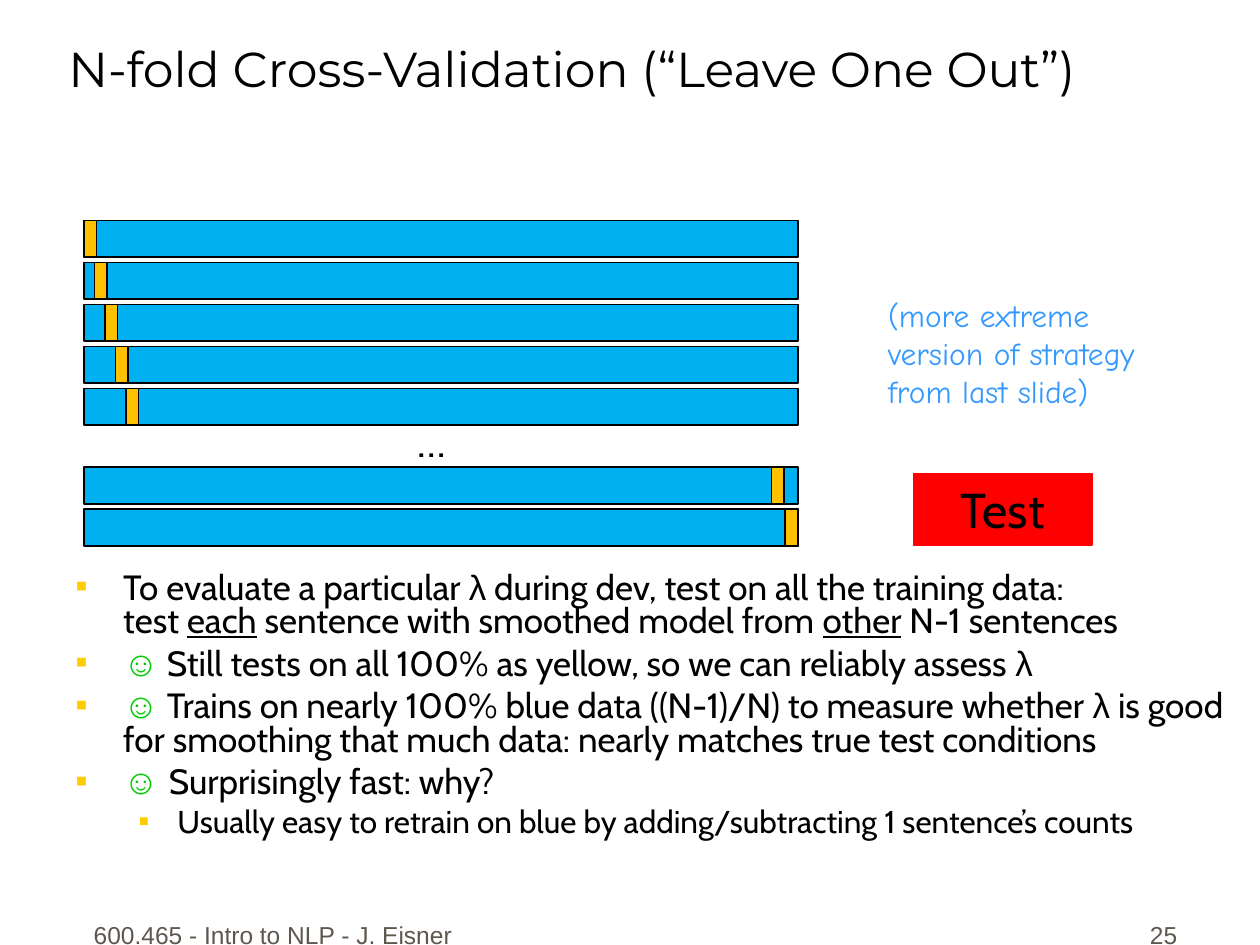
from collections import namedtuple

from lxml.etree import SubElement
from pptx import Presentation
from pptx.dml.color import RGBColor
from pptx.enum.shapes import MSO_SHAPE
from pptx.enum.text import MSO_ANCHOR as Anchor, PP_ALIGN as Align
from pptx.oxml.ns import qn
from pptx.util import Inches, Pt

# Slide grid: 120 columns by 90 rows of square cells
COLUMNS, ROWS = 120, 90
CELL = Inches(10) / COLUMNS
Box = namedtuple("Box", "left top width height")

BLACK, GREY, RED = "000000", "5E574E", "FF0000"
TRAIN_BLUE, HELD_OUT_YELLOW = "00B0F0", "FFC000"
BULLET_YELLOW = "FFCC00"

# Run formats for the body text
PLAIN = {"name": "Cabin", "color": BLACK}
GREEK = {"name": "Arial", "color": BLACK}
UNDERLINED = PLAIN | {"underline": True}
ITALIC = PLAIN | {"italic": True}
SMILE = {"name": "Arial", "color": "00CC00", "bold": True}

# Each point: level, then its lines of (text, format) runs
POINTS = [
    (0, [[("To evaluate a particular ", PLAIN), ("λ", GREEK),
          (" during dev, test on all the training data:", PLAIN)],
         [("test ", PLAIN), ("each", UNDERLINED),
          (" sentence with smoothed model from ", PLAIN),
          ("other", UNDERLINED), (" ", ITALIC), ("N-1 sentences", PLAIN)]]),
    (0, [[("☺", SMILE),
          (" Still tests on all 100% as yellow, so we can reliably assess ", PLAIN),
          ("λ", GREEK)]]),
    (0, [[("☺", SMILE),
          (" Trains on nearly 100% blue data ((N-1)/N) to measure whether ", PLAIN),
          ("λ", GREEK),
          (" is good for smoothing that much data: nearly matches true test conditions",
           PLAIN)]]),
    (0, [[("☺ ", SMILE), ("Surprisingly fast: why?", PLAIN)]]),
    (1, [[("Usually easy to retrain on blue by adding/subtracting 1 sentence’s counts",
           PLAIN)]]),
]
# Per level: text size, space before, left margin and hanging indent (inches)
LEVELS = [(20, 5, 0.38, 0.38), (18, 4.5, 0.81, 0.31)]


def rgb(hex_color):
    return RGBColor.from_string(hex_color)


def emu(box):
    return [round(cells * CELL) for cells in box]


def set_all(target, values):
    for attribute, value in values.items():
        setattr(target, attribute, value)


def add_run(paragraph, text, size, color, **font_values):
    run = paragraph.add_run()
    run.text = text
    set_all(run.font, {"size": Pt(size)} | font_values)
    run.font.color.rgb = rgb(color)


def write_lines(paragraph, lines, size):
    for number, runs in enumerate(lines):
        if number:
            paragraph.add_line_break()
        for text, run_format in runs:
            add_run(paragraph, text, size, **run_format)


def add_label(slide, box, lines, size, font, color, align=Align.LEFT,
              anchor=Anchor.TOP, wrap=False):
    frame = slide.shapes.add_textbox(*emu(box)).text_frame
    set_all(frame, {"word_wrap": wrap, "vertical_anchor": anchor})
    paragraph = frame.paragraphs[0]
    paragraph.alignment = align
    run_format = {"name": font, "color": color}
    write_lines(paragraph, [[(line, run_format)] for line in lines], size)


def add_block(slide, box, fill, line=BLACK):
    block = slide.shapes.add_shape(MSO_SHAPE.RECTANGLE, *emu(box))
    block.shadow.inherit = False
    block.fill.solid()
    block.fill.fore_color.rgb = rgb(fill)
    block.line.color.rgb = rgb(line)
    block.line.width = Pt(1)
    return block


def place_title(slide, box, text):
    title = slide.shapes.title
    set_all(title, dict(zip(("left", "top", "width", "height"), emu(box))))
    set_all(title.text_frame, {"word_wrap": True, "vertical_anchor": Anchor.BOTTOM})
    paragraph = title.text_frame.paragraphs[0]
    paragraph.alignment = Align.LEFT
    add_run(paragraph, text, 28, BLACK, name="Montserrat")


def draw_folds(slide, box):
    """Training bars, each with one held-out sentence, around an ellipsis."""
    bar_height, row_pitch, sentence = 3.5, 4, 1.2
    first_folds, last_folds, last_step = 5, 2, 1.32
    last_top = box.height - bar_height - (last_folds - 1) * row_pitch
    folds = [(i * row_pitch, i) for i in range(first_folds)]
    folds += [(last_top + i * row_pitch,
               box.width - sentence - (last_folds - 1 - i) * last_step)
              for i in range(last_folds)]
    for row, column in folds:
        bar = Box(box.left, box.top + row, box.width, bar_height)
        add_block(slide, bar, TRAIN_BLUE)
        add_block(slide, bar._replace(left=box.left + column, width=sentence),
                  HELD_OUT_YELLOW)
    add_label(slide, Box(box.left + 30.6, box.top + 18, 5.5, 6), ["…"],
              24, "Cabin", BLACK)


def draw_test_set(slide, box):
    frame = add_block(slide, box, RED, RED).text_frame
    frame.vertical_anchor = Anchor.MIDDLE
    paragraph = frame.paragraphs[0]
    paragraph.alignment = Align.CENTER
    add_run(paragraph, "Test", 28, BLACK, name="Cabin")


def add_bullet(paragraph, margin, hanging):
    properties = paragraph._p.get_or_add_pPr()
    properties.set("marL", str(Inches(margin)))
    properties.set("indent", str(-Inches(hanging)))
    color = SubElement(properties, qn("a:buClr"))
    SubElement(color, qn("a:srgbClr"), val=BULLET_YELLOW)
    SubElement(properties, qn("a:buFont"), typeface="Arial")
    SubElement(properties, qn("a:buChar"), char="▪")


def write_points(slide, box, points):
    frame = slide.shapes.add_textbox(*emu(box)).text_frame
    frame.word_wrap = True
    for number, (level, lines) in enumerate(points):
        paragraph = frame.add_paragraph() if number else frame.paragraphs[0]
        size, space_before, margin, hanging = LEVELS[level]
        add_bullet(paragraph, margin, hanging)
        set_all(paragraph, {"level": level, "line_spacing": 0.8,
                            "space_before": Pt(space_before if number else 0)})
        write_lines(paragraph, lines, size)


def write_footer(slide, box):
    style = {"size": 14, "font": "Arial", "color": GREY,
             "anchor": Anchor.BOTTOM, "wrap": True}
    number_width = 25
    add_label(slide, box._replace(width=38), ["600.465 - Intro to NLP - J. Eisner"],
              align=Align.CENTER, **style)
    add_label(slide, box._replace(left=box.left + box.width - number_width,
                                  width=number_width),
              ["25"], align=Align.RIGHT, **style)


def main():
    deck = Presentation()
    deck.slide_width, deck.slide_height = round(COLUMNS * CELL), round(ROWS * CELL)
    slide = deck.slides.add_slide(deck.slide_layouts[5])

    place_title(slide, Box(5.3, 0.7, 112.7, 9.2),
                "N-fold Cross-Validation (“Leave One Out”)")
    draw_folds(slide, Box(8, 21, 68, 31))
    add_label(slide, Box(83.4, 27.6, 26, 12),
              ["(more extreme", "version of strategy", "from last slide)"],
              18, "Comic Neue", "3399FF")
    draw_test_set(slide, Box(87, 45.1, 17, 6.8))
    write_points(slide, Box(6, 54, 114, 35), POINTS)
    write_footer(slide, Box(7, 85, 106.3, 6))

    deck.save("out.pptx")


if __name__ == "__main__":
    main()
